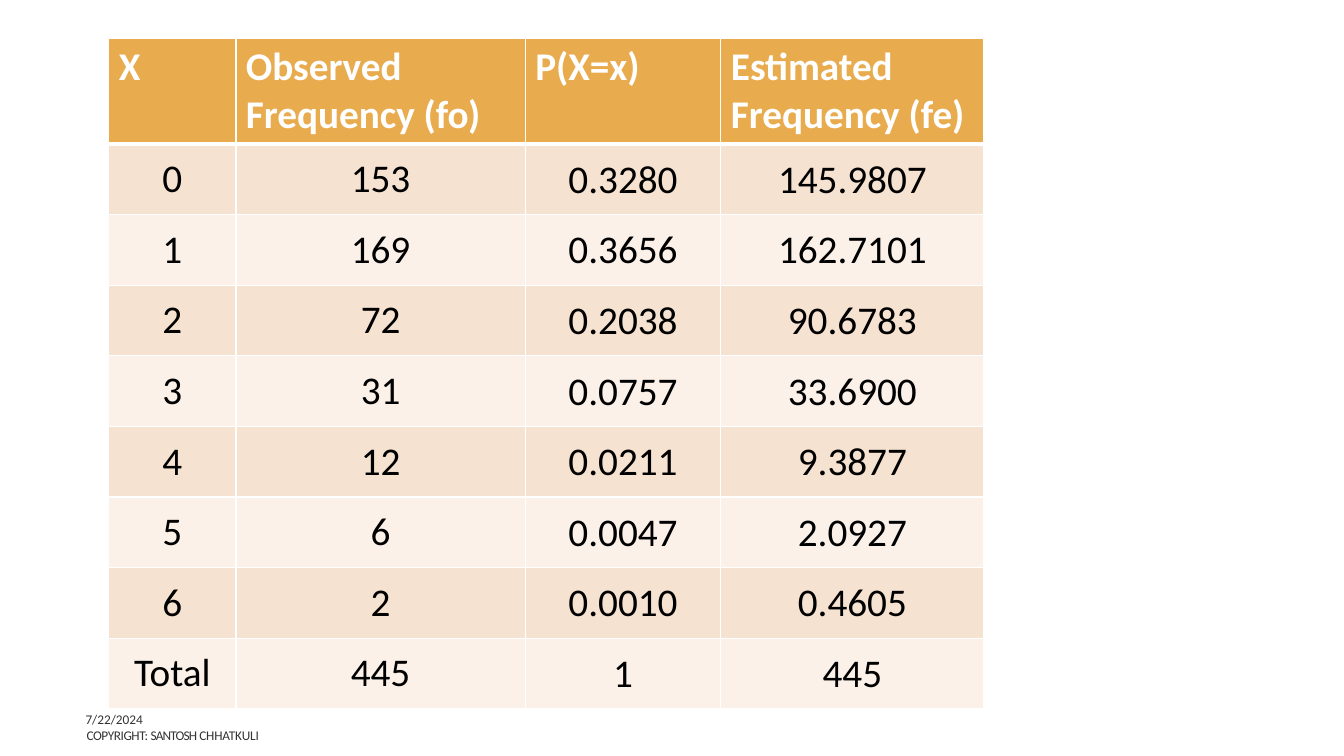
from lxml import etree
from pptx import Presentation
from pptx.dml.color import RGBColor
from pptx.enum import text
from pptx.oxml import ns
from pptx.util import Inches, Pt

WHITE = RGBColor(0xFF, 0xFF, 0xFF)
BLACK = RGBColor(0x00, 0x00, 0x00)
GREY = RGBColor(0x33, 0x33, 0x33)
AMBER = RGBColor(0xE8, 0xAB, 0x4E)
BANDS = [RGBColor(0xFB, 0xF1, 0xE9), RGBColor(0xF6, 0xE2, 0xD0)]

HEADINGS = ["X", "Observed Frequency (fo)", "P(X=x)", "Estimated Frequency (fe)"]
FREQUENCIES = [
    ["0", "153", "0.3280", "145.9807"],
    ["1", "169", "0.3656", "162.7101"],
    ["2", "72", "0.2038", "90.6783"],
    ["3", "31", "0.0757", "33.6900"],
    ["4", "12", "0.0211", "9.3877"],
    ["5", "6", "0.0047", "2.0927"],
    ["6", "2", "0.0010", "0.4605"],
    ["Total", "445", "1", "445"],
]
COLUMN_WIDTHS = [1.26, 2.87, 1.94, 2.61]
HEADER_HEIGHT, ROW_HEIGHT = 0.96, 0.7


def add_borders(cell, bottom_width):
    """Give the cell white borders, 1 pt except for the bottom one."""
    properties = cell._tc.get_or_add_tcPr()
    for index, (side, width) in enumerate(
            [("lnL", 1), ("lnR", 1), ("lnT", 1), ("lnB", bottom_width)]):
        line = etree.Element(ns.qn("a:" + side), w=str(Pt(width)))
        fill = etree.SubElement(line, ns.qn("a:solidFill"))
        etree.SubElement(fill, ns.qn("a:srgbClr"), val=str(WHITE))
        properties.insert(index, line)


def add_footer(slide, top, width, left_inset, pieces):
    """Add a footer line made of (wording, letter spacing in 1/100 pt) pieces."""
    box = slide.shapes.add_textbox(Inches(0.75), Inches(top), Inches(width), Inches(0.25))
    frame = box.text_frame
    frame.word_wrap = True
    frame.margin_left = Inches(left_inset)
    frame.vertical_anchor = text.MSO_ANCHOR.MIDDLE
    paragraph = frame.paragraphs[0]
    paragraph.font.name = "Calibri"
    paragraph.font.size = Pt(9.5)
    paragraph.font.color.rgb = GREY
    for wording, spacing in pieces:
        run = paragraph.add_run()
        run.text = wording
        if spacing:
            run._r.get_or_add_rPr().set("spc", str(spacing))


deck = Presentation()
deck.slide_width, deck.slide_height = Inches(13.33), Inches(7.5)
slide = deck.slides.add_slide(deck.slide_layouts[6])

table = slide.shapes.add_table(
    len(FREQUENCIES) + 1, len(HEADINGS), Inches(1.08), Inches(0.38),
    Inches(sum(COLUMN_WIDTHS)),
    Inches(HEADER_HEIGHT + ROW_HEIGHT * len(FREQUENCIES))).table
for column, width in zip(table.columns, COLUMN_WIDTHS):
    column.width = Inches(width)

for r, values in enumerate([HEADINGS] + FREQUENCIES):
    is_header = r == 0
    table.rows[r].height = Inches(HEADER_HEIGHT if is_header else ROW_HEIGHT)
    for c, value in enumerate(values):
        cell = table.cell(r, c)
        cell.text = value
        cell.fill.solid()
        cell.fill.fore_color.rgb = AMBER if is_header else BANDS[r % 2]
        add_borders(cell, 3 if is_header else 1)
        paragraph = cell.text_frame.paragraphs[0]
        paragraph.font.name = "Calibri"
        paragraph.font.size = Pt(28)
        paragraph.font.bold = is_header
        paragraph.font.color.rgb = WHITE if is_header else BLACK
        if not is_header:
            paragraph.alignment = text.PP_ALIGN.CENTER
            cell.vertical_anchor = text.MSO_ANCHOR.MIDDLE
            if c >= 2:
                cell.margin_left = cell.margin_right = cell.margin_top = Inches(0.01)
                cell.margin_bottom = 0

add_footer(slide, 7.01, 4.5, 0.1, [("7/22/2024", 0)])
add_footer(slide, 7.17, 5.5, 0.11,
           [("COPYRIGHT: ", -30), ("SANTOSH ", -60), ("CHHATKULI", -10)])

deck.save("out.pptx")
